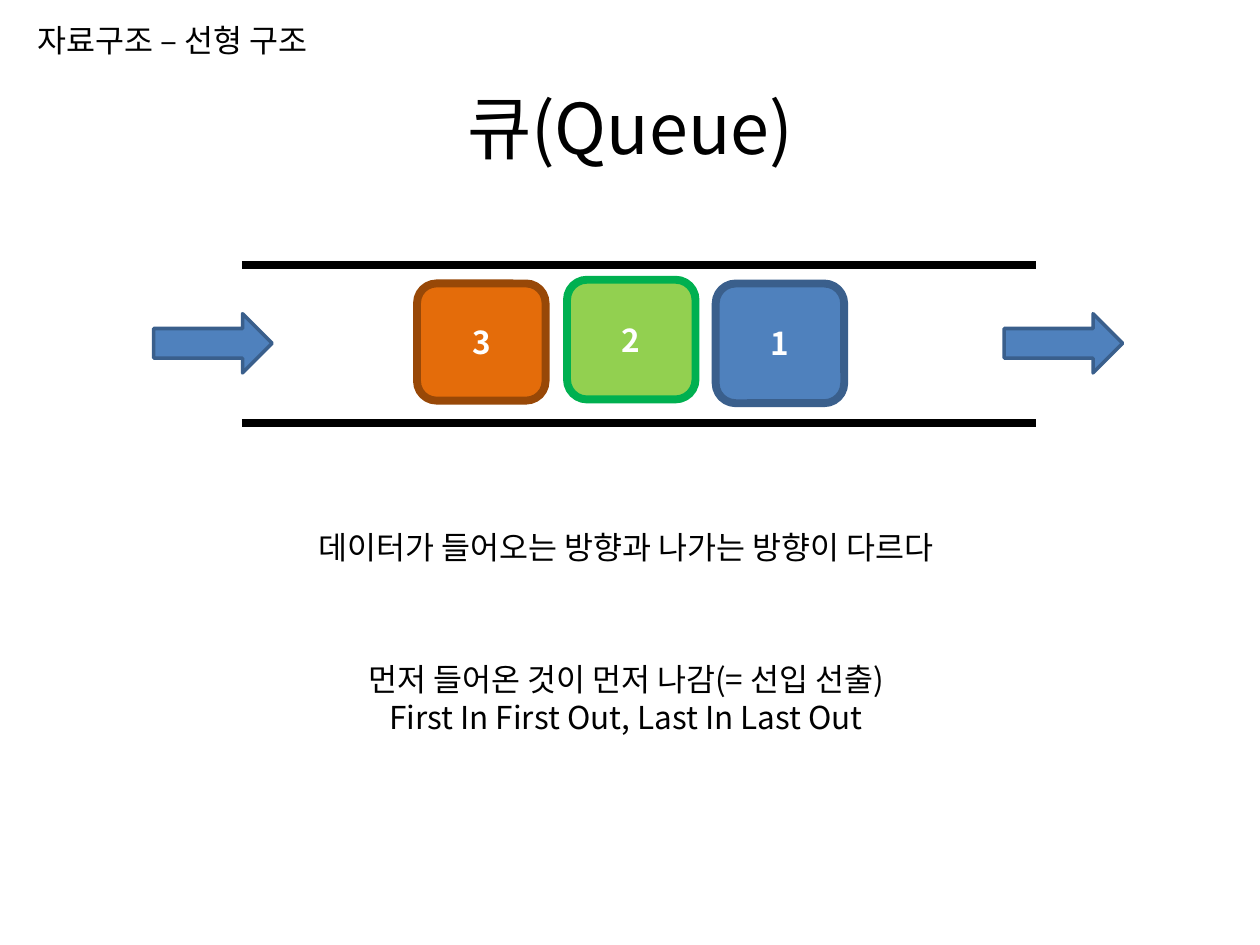
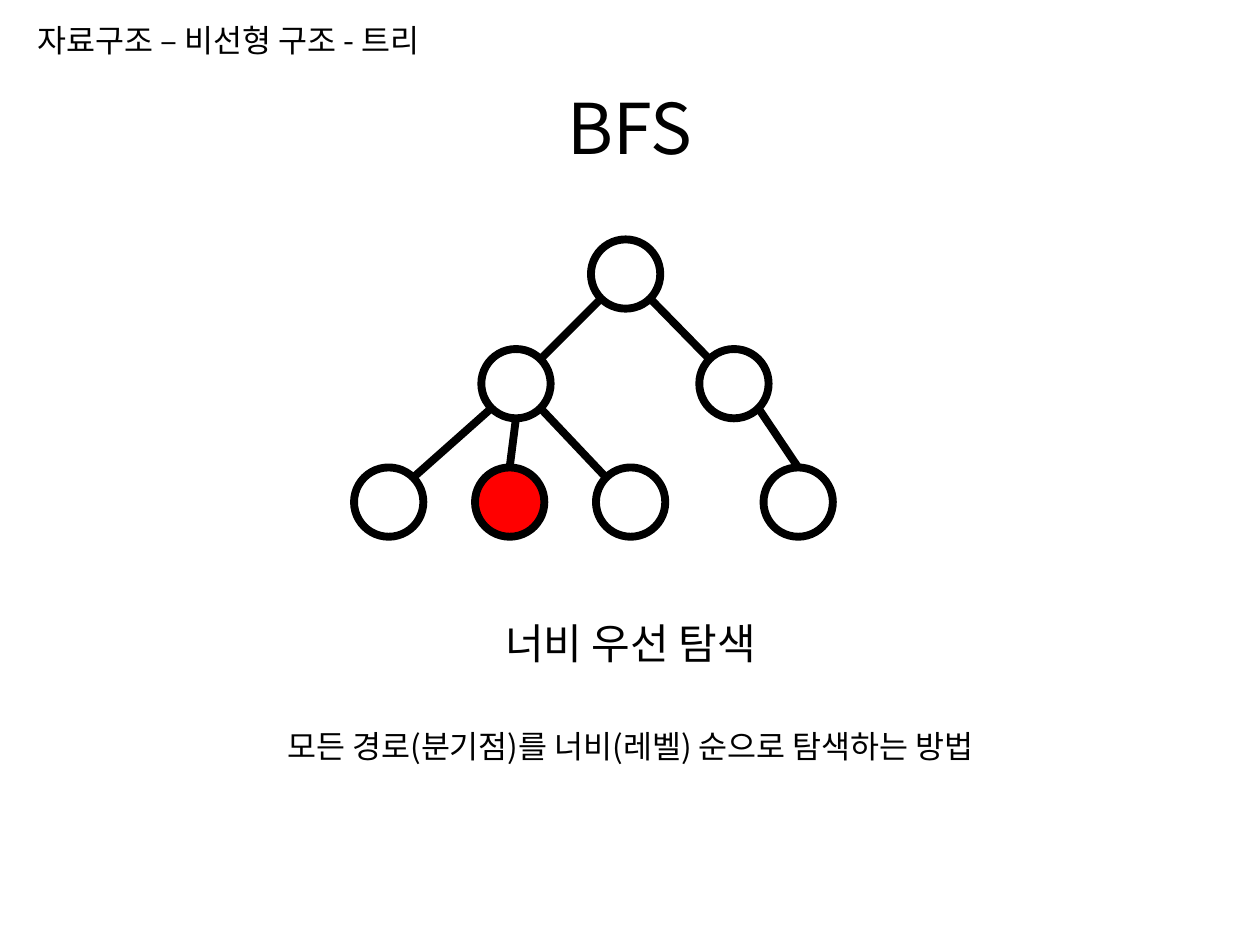
from lxml.etree import SubElement
from pptx import Presentation
from pptx.dml.color import RGBColor as Rgb
from pptx.enum.shapes import MSO_CONNECTOR as Link, MSO_SHAPE as Kind
from pptx.enum.text import MSO_ANCHOR as Anchor, MSO_AUTO_SIZE as Auto, PP_ALIGN as Align
from pptx.oxml.ns import qn
from pptx.util import Inches, Pt

FACE = "Noto Sans CJK KR"
HUES = {
    "ink": "000000", "white": "FFFFFF", "red": "FF0000",
    "blue": "4F81BD", "navy": "3A5F8C",
    "lime": "92D050", "green": "00B050",
    "orange": "E46C0A", "brown": "984807",
}
THICK = 4.5

PAGES = [
    {
        "title": "큐(Queue)",
        "path": ("자료구조 – 선형 구조", 2.83),
        "notes": [
            (["먼저 들어온 것이 먼저 나감(= 선입 선출)",
              "First In First Out, Last In Last Out"], (2.24, 5.19, 5.46, 0.71), 18),
            (["데이터가 들어오는 방향과 나가는 방향이 다르다"], (1.97, 4.14, 6, 0.44), 18),
        ],
    },
    {
        "title": "BFS",
        "path": ("자료구조 – 비선형 구조 - 트리", 3.7),
        "notes": [
            (["너비 우선 탐색"], (1.54, 4.85, 6.93, 0.5), 24),
            (["모든 경로(분기점)를 너비(레벨) 순으로 탐색하는 방법"], (1.54, 5.72, 6.93, 0.4), 18),
        ],
    },
]

RAILS = [2.1, 3.36]
ITEMS = [
    ("1", (5.68, 2.25, 1.02, 0.95), "blue", "navy"),
    ("2", (4.5, 2.22, 1.02, 0.95), "lime", "green"),
    ("3", (3.31, 2.25, 1.02, 0.93), "orange", "brown"),
]
ARROWS = [1.22, 7.97]

SIZE = 0.55
ROWS = [1.9, 2.77, 3.71]
NODES = {
    "root": (4.69, 0), "left": (3.82, 1), "right": (5.55, 1),
    "a": (2.81, 2), "b": (3.77, 2), "c": (4.73, 2), "d": (6.06, 2),
}
GOAL = "b"
SITES = {
    "top": (0.5, 0), "bottom": (0.5, 1),
    "nw": (0.15, 0.15), "ne": (0.85, 0.15),
    "sw": (0.15, 0.85), "se": (0.85, 0.85),
}
EDGES = [
    ("root", "sw", "left", "ne"), ("root", "se", "right", "nw"),
    ("left", "sw", "a", "ne"), ("left", "bottom", "b", "top"),
    ("left", "se", "c", "nw"), ("right", "se", "d", "top"),
]


def hue(name):
    return Rgb.from_string(HUES[name])


def write(frame, lines, size, align=Align.CENTER, color="ink", bold=False):
    frame.text = "\n".join(lines)
    look = {"name": FACE, "size": Pt(size), "bold": bold}
    for para in frame.paragraphs:
        para.alignment = align
        for run in para.runs:
            for key, value in look.items():
                setattr(run.font, key, value)
            run.font.color.rgb = hue(color)
            latin = run.font._element.find(qn("a:latin"))
            latin.addnext(SubElement(run.font._element, qn("a:ea"), typeface=FACE))


def label(slide, lines, box, size, align=Align.CENTER):
    frame = slide.shapes.add_textbox(*map(Inches, box)).text_frame
    write(frame, lines, size, align)
    for key, value in {"word_wrap": True, "auto_size": Auto.SHAPE_TO_FIT_TEXT}.items():
        setattr(frame, key, value)


def shape(slide, kind, box, fill, edge, width=THICK):
    part = slide.shapes.add_shape(kind, *map(Inches, box))
    part.shadow.inherit = False
    if fill:
        part.fill.solid()
        part.fill.fore_color.rgb = hue(fill)
    else:
        part.fill.background()
    part.line.color.rgb = hue(edge)
    part.line.width = Pt(width)
    return part


def line(slide, start, end):
    part = slide.shapes.add_connector(Link.STRAIGHT, *map(Inches, (*start, *end)))
    part.line.color.rgb = hue("ink")
    part.line.width = Pt(THICK)
    SubElement(part._element.spPr, qn("a:effectLst"))


def start(deck, page):
    slide = deck.slides.add_slide(deck.slide_layouts[5])
    title = slide.shapes.title
    place = {"left": 0.5, "top": 0.38, "width": 9, "height": 1.25}
    for key, value in place.items():
        setattr(title, key, Inches(value))
    title.text_frame.vertical_anchor = Anchor.MIDDLE
    write(title.text_frame, [page["title"]], 40)
    text, width = page["path"]
    label(slide, [text], (0.2, 0.12, width, 0.4), 18, Align.LEFT)
    for note in page["notes"]:
        label(slide, *note)
    return slide


def queue(slide):
    for y in RAILS:
        line(slide, (1.92, y), (8.22, y))
    for text, box, fill, edge in ITEMS:
        item = shape(slide, Kind.ROUNDED_RECTANGLE, box, fill, edge)
        item.text_frame.vertical_anchor = Anchor.MIDDLE
        write(item.text_frame, [text], 18, color="white", bold=True)
    for x in ARROWS:
        shape(slide, Kind.RIGHT_ARROW, (x, 2.49, 0.94, 0.47), "blue", "navy", 2)


def point(node, site):
    x, row = NODES[node]
    dx, dy = SITES[site]
    return x + dx * SIZE, ROWS[row] + dy * SIZE


def tree(slide):
    for name, (x, row) in NODES.items():
        fill = "red" if name == GOAL else None
        shape(slide, Kind.OVAL, (x, ROWS[row], SIZE, SIZE), fill, "ink")
    for top, out, low, into in EDGES:
        line(slide, point(top, out), point(low, into))


def main():
    deck = Presentation()
    deck.slide_width, deck.slide_height = Inches(10), Inches(7.5)
    for page, draw in zip(PAGES, (queue, tree)):
        draw(start(deck, page))
    deck.save("out.pptx")


if __name__ == "__main__":
    main()
